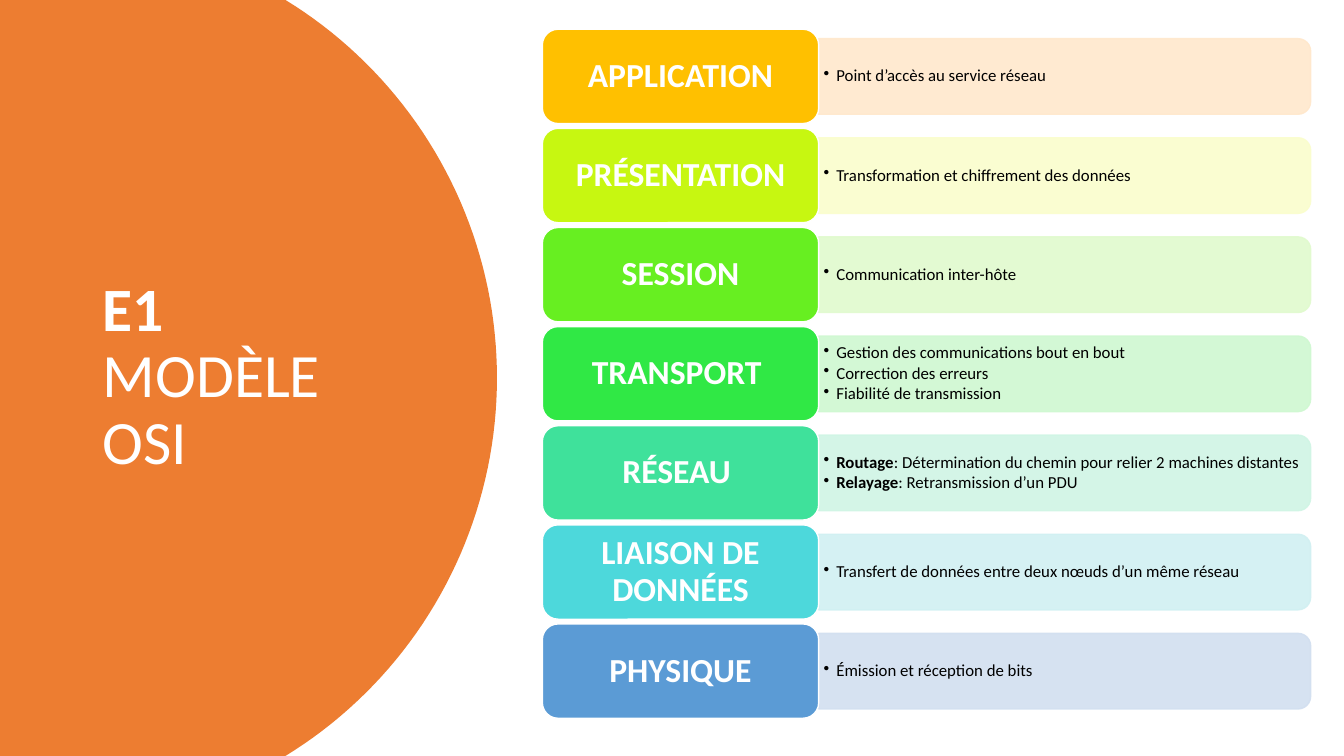
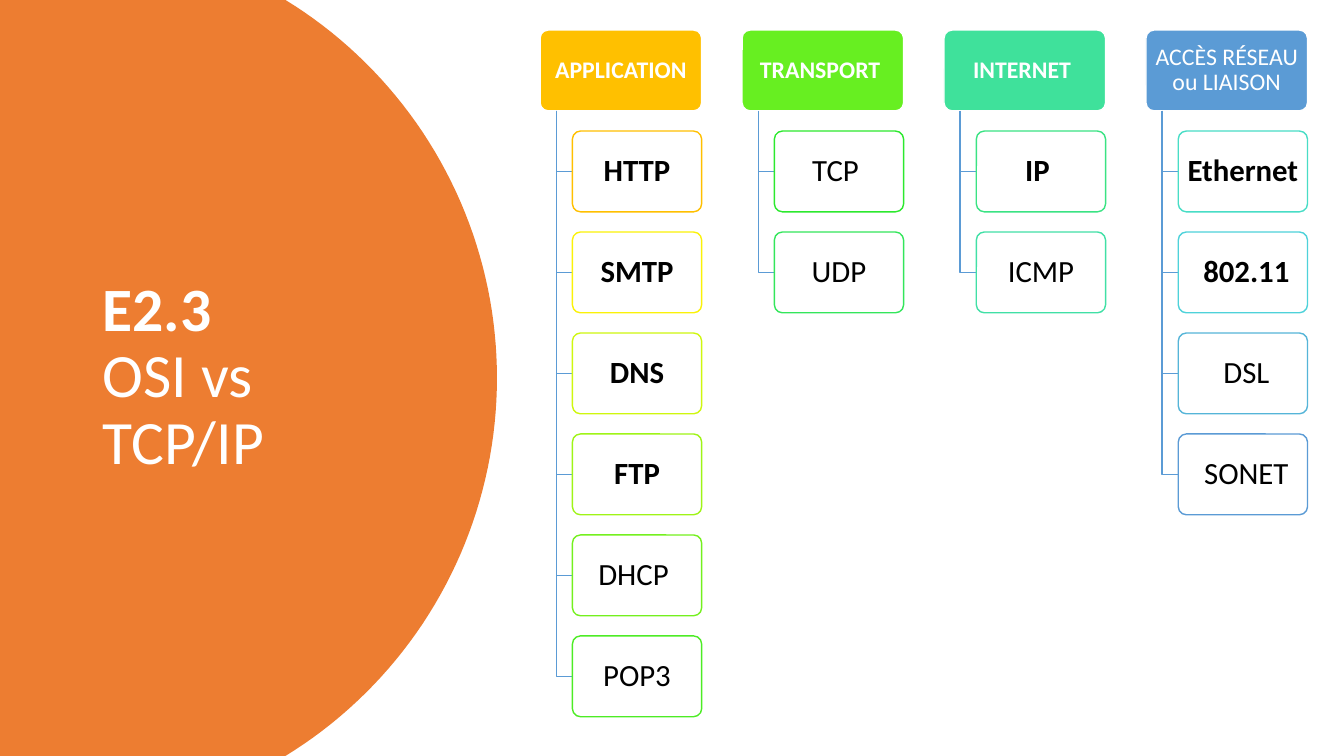
from math import asin, cos, sin

from lxml.etree import SubElement
from pptx import Presentation
from pptx.dml.color import RGBColor
from pptx.enum.shapes import MSO_SHAPE as Preset
from pptx.enum.text import MSO_ANCHOR as Anchor, MSO_AUTO_SIZE as AutoSize, PP_ALIGN as Align
from pptx.oxml.ns import qn
from pptx.util import Pt

ORANGE, WHITE, BLACK, BLUE = "ED7D31", "FFFFFF", "000000", "5B9BD5"
FONT = "Calibri"
SLIDE_WIDTH, SLIDE_HEIGHT = 960, 540


def rgb(value):
    """Turn a hex string into a colour."""
    return RGBColor.from_string(value)


class Deck:
    """Holds the shared style and the current slide."""

    def __init__(self):
        """Start an empty widescreen presentation."""
        self.presentation = Presentation()
        self.presentation.slide_width = Pt(SLIDE_WIDTH)
        self.presentation.slide_height = Pt(SLIDE_HEIGHT)
        self.slide = None

    def add_slide(self, number, title):
        """Add a slide with the orange disc and its two-part title."""
        layout = self.presentation.slide_layouts.get_by_name("Title Only")
        self.slide = self.presentation.slides.add_slide(layout)
        self.disc()
        shape = self.slide.shapes.title
        shape.left, shape.top, shape.width, shape.height = Pt(66.2), Pt(50.4), Pt(232.6), Pt(439)
        # The title follows the disc so that it stays in front of it.
        self.slide.shapes._spTree.append(shape._element)
        frame = self.prepare_frame(shape)
        frame.text = f"{number}\v{title}"
        paragraph = frame.paragraphs[0]
        paragraph.alignment = Align.LEFT
        paragraph.line_spacing = 0.9
        for index, run in enumerate(paragraph.runs):
            self.format_run(run, 44, WHITE, index == 0)

    def disc(self, right=355, radius=316.8, steps=80):
        """Draw the part of a large disc that meets the left edge."""
        half = SLIDE_HEIGHT / 2
        limit = asin(half / radius)
        angles = [limit * (2 * step / steps - 1) for step in range(steps + 1)]
        arc = [(right - radius + radius * cos(angle), half + radius * sin(angle)) for angle in angles]
        self.outline([(0, 0), *arc, (0, SLIDE_HEIGHT)], fill=ORANGE)

    def outline(self, points, fill=None, line=None):
        """Draw a closed filled outline, or an open line."""
        corners = [(Pt(x), Pt(y)) for x, y in points]
        builder = self.slide.shapes.build_freeform(*corners[0])
        builder.add_line_segments(corners[1:], close=fill is not None)
        self.paint(builder.convert_to_shape(), fill, line)

    def paint(self, shape, fill=None, line=None, alpha=None):
        """Set fill and line; alpha applies wherever the fill colour is used."""
        shape.shadow.inherit = False
        if fill:
            shape.fill.solid()
            shape.fill.fore_color.rgb = rgb(fill)
        else:
            shape.fill.background()
        if line:
            shape.line.color.rgb = rgb(line)
            shape.line.width = Pt(1)
        else:
            shape.line.fill.background()
        if alpha:
            for color in shape._element.spPr.iter(qn("a:srgbClr")):
                if color.get("val") == fill:
                    SubElement(color, qn("a:alpha")).set("val", str(alpha * 1000))

    def prepare_frame(self, shape, margins=(7.2, 3.6)):
        """Make a text frame wrap, centred vertically, with the given margins."""
        frame = shape.text_frame
        frame.word_wrap = True
        frame.auto_size = AutoSize.NONE
        frame.vertical_anchor = Anchor.MIDDLE
        frame.margin_left = frame.margin_right = Pt(margins[0])
        frame.margin_top = frame.margin_bottom = Pt(margins[1])
        return frame

    def format_run(self, run, size, color, bold=False):
        """Set the font of one run."""
        run.font.name, run.font.size, run.font.bold = FONT, Pt(size), bold
        run.font.color.rgb = rgb(color)

    def box(self, left, top, width, height, text, size, color, bold, fill, line,
            corner=None, alpha=None, margins=(7.2, 3.6)):
        """Add a rounded box with centred text."""
        shape = self.slide.shapes.add_shape(
            Preset.ROUNDED_RECTANGLE, Pt(left), Pt(top), Pt(width), Pt(height))
        if corner:
            shape.adjustments[0] = corner
        self.paint(shape, fill, line, alpha)
        frame = self.prepare_frame(shape, margins)
        frame.text = text
        paragraph = frame.paragraphs[0]
        paragraph.alignment = Align.CENTER
        paragraph.line_spacing = 0.9
        self.format_run(paragraph.runs[0], size, color, bold)

    def band(self, left, middle, width, height, fill):
        """Add a band rounded on its right side, by turning a top-rounded shape."""
        shape = self.slide.shapes.add_shape(
            Preset.ROUND_2_SAME_RECTANGLE, Pt(left + (width - height) / 2),
            Pt(middle - width / 2), Pt(height), Pt(width))
        shape.rotation = 90
        self.paint(shape, fill, fill, alpha=90)

    def bullets(self, left, top, width, height, points):
        """Add bulleted lines; a term before a colon is bold."""
        box = self.slide.shapes.add_textbox(Pt(left), Pt(top), Pt(width), Pt(height))
        frame = self.prepare_frame(box, (3.6, 2))
        for index, point in enumerate(points):
            paragraph = frame.add_paragraph() if index else frame.paragraphs[0]
            paragraph.line_spacing = 0.9
            paragraph.space_after = Pt(1.8)
            properties = paragraph._p.get_or_add_pPr()
            properties.set("marL", str(Pt(9)))
            properties.set("indent", str(-Pt(9)))
            SubElement(properties, qn("a:buChar")).set("char", "•")
            term, colon, rest = point.partition(":")
            parts = [(term, True), (colon + rest, False)] if colon else [(term, False)]
            for text, bold in parts:
                run = paragraph.add_run()
                run.text = text
                self.format_run(run, 12, BLACK, bold)


def build_osi(deck):
    """Build the seven OSI layers with their roles."""
    layers = [
        ("APPLICATION", "FFC000", "FFE8CC", ["Point d’accès au service réseau"]),
        ("PRÉSENTATION", "C7F711", "FAFDCD", ["Transformation et chiffrement des données "]),
        ("SESSION", "67EF21", "E1FACE", ["Communication inter-hôte "]),
        ("TRANSPORT ", "30E845", "CFF8D1",
         ["Gestion des communications bout en bout", "Correction des erreurs ",
          "Fiabilité de transmission"]),
        ("RÉSEAU ", "3FE19B", "D0F5E5",
         ["Routage: Détermination du chemin pour relier 2 machines distantes",
          "Relayage: Retransmission d’un PDU "]),
        ("LIAISON DE DONNÉES", "4DD8DB", "D1F0F2",
         ["Transfert de données entre deux nœuds d’un même réseau"]),
        ("PHYSIQUE", BLUE, "D2DFF0", ["Émission et réception de bits"]),
    ]
    left, first_top, width, height, pitch = 387.4, 20.9, 197.4, 67.4, 70.8
    band_left, band_width, band_height = left + width, 351.4, 54
    deck.add_slide("E1", "MODÈLE OSI")
    for row, (name, color, tint, points) in enumerate(layers):
        top = first_top + row * pitch
        middle = top + height / 2
        deck.band(band_left, middle, band_width, band_height, tint)
        deck.bullets(band_left, middle - 24.4, band_width - 2.6, 48.8, points)
        deck.box(left, top, width, height, name, 24, WHITE, True, color, WHITE)


def build_tcp_ip(deck):
    """Build the four TCP/IP layers with their protocols."""
    layers = [
        ("APPLICATION", True, "FFC000",
         [("HTTP", True, "FFC000"), ("SMTP", True, "FBF208"), ("DNS", True, "CFF70F"),
          ("FTP", True, "9FF417"), ("DHCP ", False, "74F01E"), ("POP3", False, "4DEC25")]),
        ("TRANSPORT ", True, "67EF21",
         [("TCP ", False, "2CE92E"), ("UDP", False, "33E65B")]),
        ("INTERNET ", True, "3FE19B",
         [("IP ", True, "3AE383"), ("ICMP", False, "41E0A6")]),
        ("ACCÈS RÉSEAU ou LIAISON", False, BLUE,
         [("Ethernet", True, "48DDC6"), (" 802.11", True, "4ED2DA"),
          (" DSL", False, "55B5D8"), (" SONET", False, BLUE)]),
    ]
    first_left, top, width, height = 385.8, 21.5, 115.4, 57.7
    corner = 0.1
    deck.add_slide("E2.3", "OSI vs TCP/IP")
    for column, (name, bold, color, protocols) in enumerate(layers):
        left = first_left + column * 1.25 * width
        deck.box(left, top, width, height, name, 17, WHITE, bold, color, WHITE,
                 corner, margins=(2.6, 1.7))
        trunk, card_left = left + 0.1 * width, left + 0.2 * width
        for row, (protocol, strong, edge) in enumerate(protocols, start=1):
            card_top = top + row * 1.25 * height
            middle = card_top + height / 2
            deck.outline([(trunk, top + height), (trunk, middle), (card_left, middle)], line=BLUE)
            deck.box(card_left, card_top, 0.8 * width, height, protocol, 22, BLACK, strong,
                     WHITE, edge, corner, alpha=90, margins=(3.3, 2.2))


deck = Deck()
build_osi(deck)
build_tcp_ip(deck)
deck.presentation.save("out.pptx")
